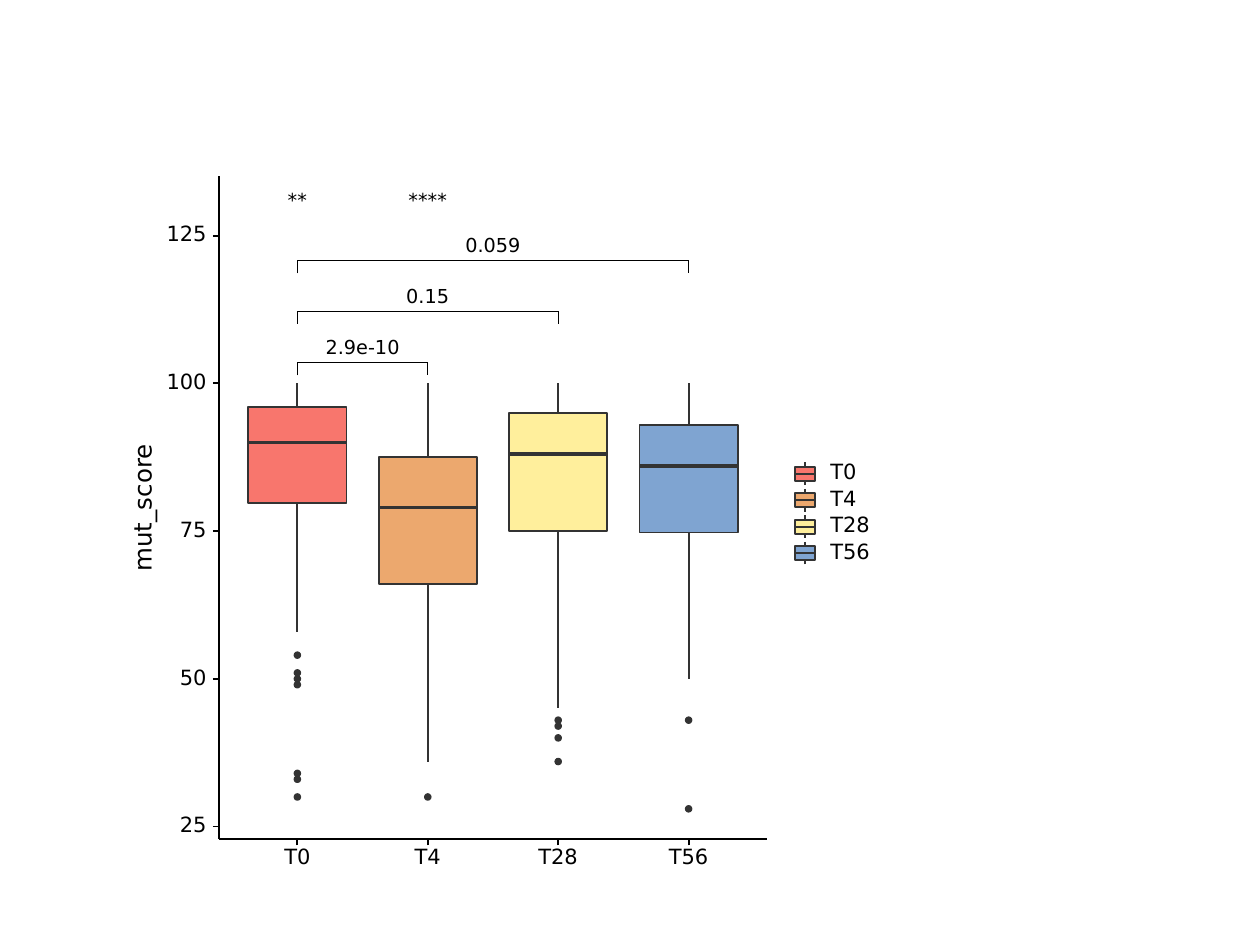
from dataclasses import dataclass
from lxml.etree import SubElement
from pptx import Presentation
from pptx.dml.color import RGBColor as Rgb
from pptx.enum.shapes import MSO_CONNECTOR as Link, MSO_SHAPE as Kind
from pptx.enum.text import MSO_ANCHOR as Anchor, MSO_AUTO_SIZE as Fit, PP_ALIGN as Align
from pptx.oxml.ns import qn
from pptx.util import Inches, Pt


@dataclass(frozen=True)
class Theme:
    font: str = "DejaVu Sans"
    paper: str = "FFFFFF"
    ink: str = "000000"
    dark: str = "333333"
    note: int = 11
    tick: int = 12
    title: int = 14
    thin: float = 0.64
    dot: float = 0.71
    frame: float = 0.75
    line: float = 1.07
    bold: float = 2.13


@dataclass(frozen=True)
class Group:
    name: str
    fill: str
    low: float
    q1: float
    mid: float
    q3: float
    high: float
    dots: tuple
    wide: float  # width of the name as text


GROUPS = [
    Group("T0", "F8766D", 58, 79.75, 90, 96, 100, (54, 30, 51, 50, 49, 34, 33), 0.21),
    Group("T4", "ECA86E", 36, 66, 79, 87.5, 100, (30,), 0.21),
    Group("T28", "FFEF9C", 45, 75, 88, 95, 100, (36, 42, 40, 43), 0.31),
    Group("T56", "7FA4D1", 50, 74.75, 86, 93, 100, (28, 43), 0.31),
]
# last group compared with T0, height of the bracket, p-value, text width
TESTS = [(2, 2.47, "0.15", 0.34), (1, 2.88, "2.9e-10", 0.59), (3, 2.07, "0.059", 0.44)]
STARS = [(0, "**", 0.15), (1, "****", 0.31)]
LEFT, RIGHT, TOP, BASE = 1.74, 6.09, 1.4, 6.66
TICK = 0.05


def col(i):
    return 2.36 + 1.035 * i


def row(val):
    """Slide height of a score."""
    return 6.56 - (val - 25) * 4.69 / 100


class Plot:
    def __init__(self, slide, theme):
        self.theme = theme
        self.shapes = slide.shapes.add_group_shape().shapes

    def line(self, x1, y1, x2, y2, color, width):
        ends = [Inches(v) for v in (x1, y1, x2, y2)]
        link = self.shapes.add_connector(Link.STRAIGHT, *ends)
        link.line.color.rgb = Rgb.from_string(color)
        link.line.width = Pt(width)
        SubElement(link._element.spPr, qn("a:effectLst"))

    def shape(self, kind, x, y, w, h, fill, edge, width):
        item = self.shapes.add_shape(kind, *[Inches(v) for v in (x, y, w, h)])
        item.shadow.inherit = False
        item.fill.solid()
        item.fill.fore_color.rgb = Rgb.from_string(fill)
        item.line.color.rgb = Rgb.from_string(edge)
        item.line.width = Pt(width)

    def text(self, words, x, y, w, size, align=Align.CENTER, turn=0):
        """Write one line, centred in height on y, from x rightwards."""
        h = 0.13
        box = self.shapes.add_textbox(Inches(x), Inches(y - h / 2), Inches(w), Inches(h))
        box.rotation = turn
        frame = box.text_frame
        frame.margin_left = frame.margin_right = 0
        frame.margin_top = frame.margin_bottom = 0
        frame.word_wrap = False
        frame.auto_size = Fit.NONE
        frame.vertical_anchor = Anchor.MIDDLE
        frame.text = words
        para = frame.paragraphs[0]
        para.alignment = align
        para.line_spacing = Pt(size)
        font = para.runs[0].font
        font.name, font.size = self.theme.font, Pt(size)
        font.color.rgb = Rgb.from_string(self.theme.ink)

    def box(self, x, g):
        t, half, dot = self.theme, 0.39, 0.05
        for val in g.dots:
            self.shape(Kind.OVAL, x - dot / 2, row(val) - dot / 2, dot, dot,
                       t.dark, t.dark, t.dot)
        self.line(x, row(g.q3), x, row(g.high), t.dark, t.line)
        self.line(x, row(g.q1), x, row(g.low), t.dark, t.line)
        self.shape(Kind.RECTANGLE, x - half, row(g.q3), 2 * half, row(g.q1) - row(g.q3),
                   g.fill, t.dark, t.line)
        self.line(x - half, row(g.mid), x + half, row(g.mid), t.dark, t.bold)

    def test(self, x1, x2, y, words, wide):
        t, drop = self.theme, 0.1
        self.text(words, (x1 + x2 - wide) / 2, y - 0.11, wide, t.note)
        self.line(x1, y + drop, x1, y, t.ink, t.thin)
        self.line(x1, y, x2, y, t.ink, t.thin)
        self.line(x2, y, x2, y + drop, t.ink, t.thin)

    def axes(self):
        t = self.theme
        self.line(LEFT, BASE, LEFT, TOP, t.ink, t.line)
        for val in range(25, 126, 25):
            wide = 0.32 if val >= 100 else 0.21
            self.text(str(val), 1.64 - wide, row(val), wide, t.tick, Align.RIGHT)
            self.line(LEFT - TICK, row(val), LEFT, row(val), t.ink, t.line)
        self.line(LEFT, BASE, RIGHT, BASE, t.ink, t.line)
        for i, g in enumerate(GROUPS):
            self.line(col(i), BASE + TICK, col(i), BASE, t.ink, t.line)
            self.text(g.name, col(i) - g.wide / 2, 6.81, g.wide, t.tick)
        self.text("mut_score", 0.64, 4.03, 1.01, t.title, turn=270)

    def key(self, y, g):
        """Draw one legend row."""
        t, x, w, h = self.theme, 6.31, 0.16, 0.11
        mid = x + w / 2
        for side in (1, -1):
            self.line(mid, y + side * 0.09, mid, y + side * h / 2, t.dark, t.line)
        self.shape(Kind.RECTANGLE, x, y - h / 2, w, h, g.fill, t.dark, t.line)
        self.line(x, y, x + w, y, t.dark, t.line)
        self.text(g.name, 6.59, y, g.wide, t.tick, Align.LEFT)


def main():
    deck = Presentation()
    deck.slide_width, deck.slide_height = Inches(10), Inches(7.5)
    t = Theme()
    plot = Plot(deck.slides.add_slide(deck.slide_layouts[6]), t)
    plot.shape(Kind.RECTANGLE, 1, 1, 6, 6, t.paper, t.paper, t.frame)
    for i, g in enumerate(GROUPS):
        plot.box(col(i), g)
    for last, y, words, wide in TESTS:
        plot.test(col(0), col(last), y, words, wide)
    for i, words, wide in STARS:
        plot.text(words, col(i) - wide / 2, 1.6, wide, t.note)
    plot.axes()
    for i, g in enumerate(GROUPS):
        plot.key(3.76 + 0.21 * i, g)
    deck.save("out.pptx")


if __name__ == "__main__":
    main()
